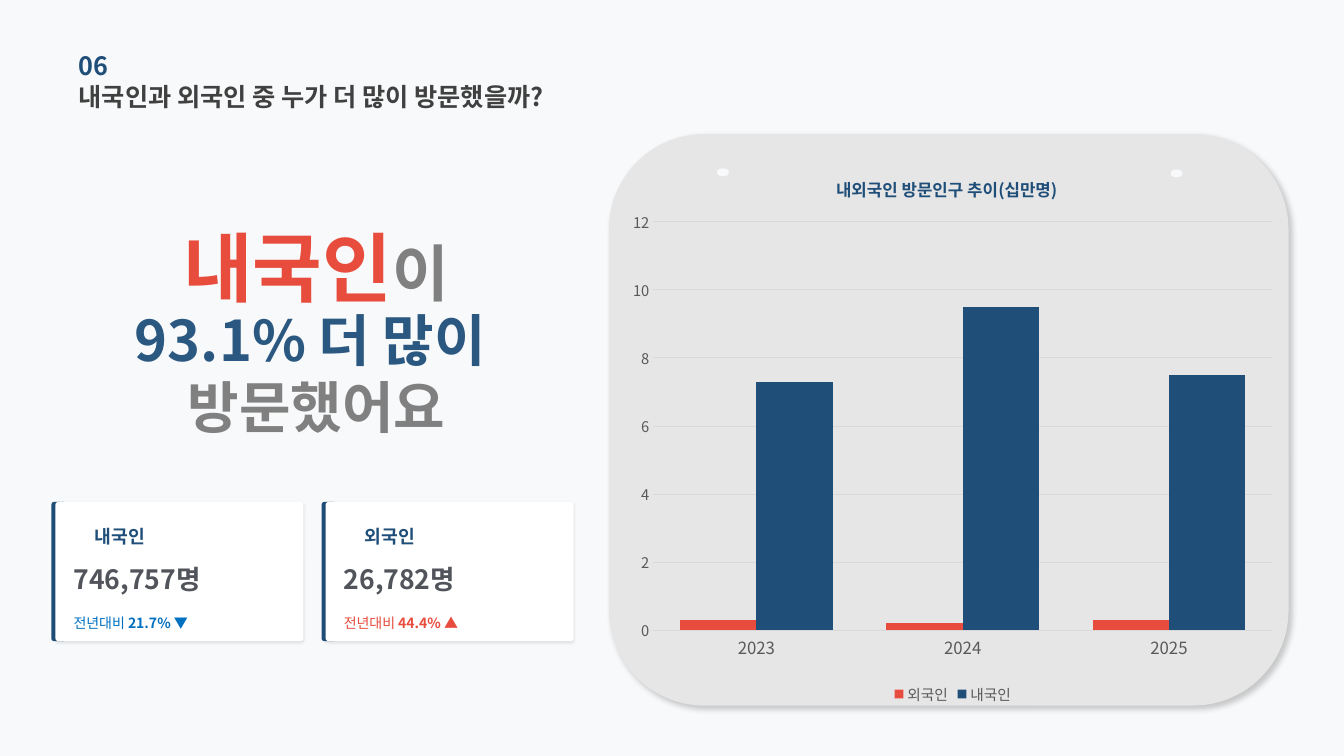
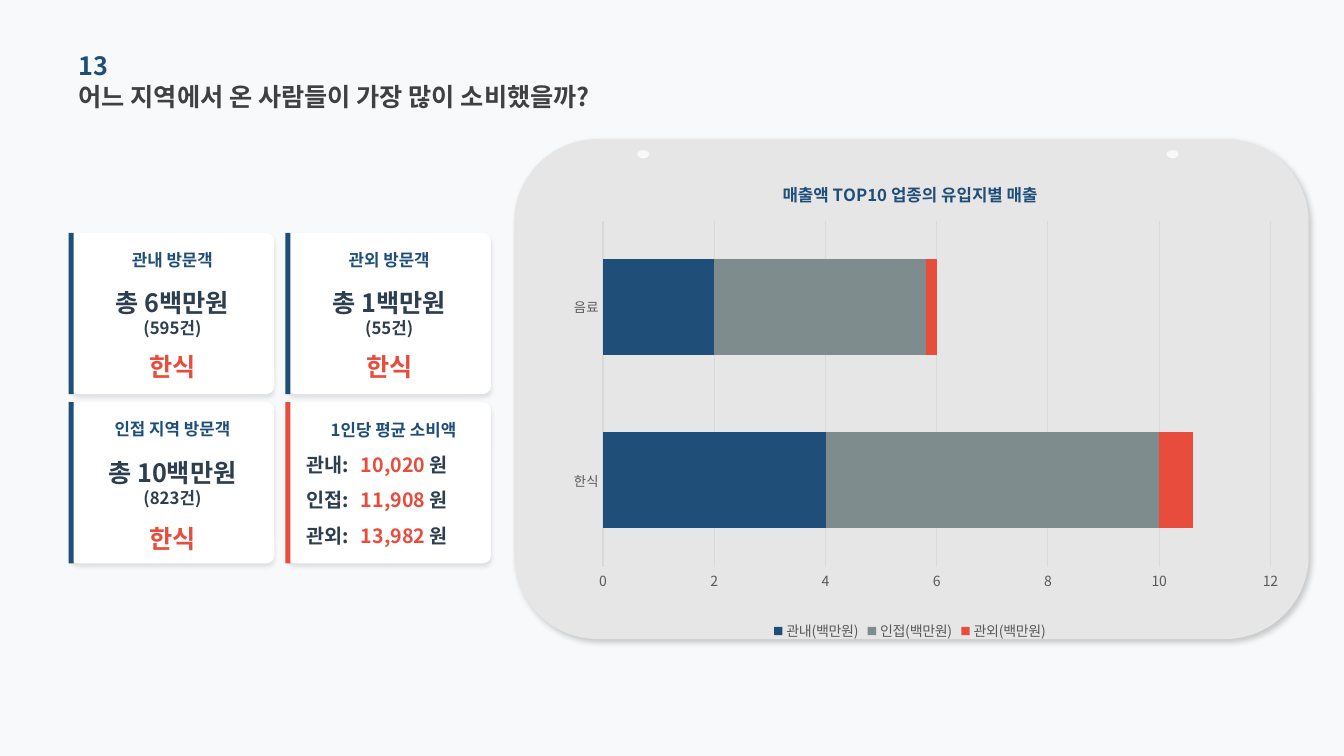
from lxml import etree
from pptx import Presentation
from pptx.chart.data import CategoryChartData
from pptx.dml.color import RGBColor
from pptx.enum import chart as charts, shapes, text
from pptx.oxml import parse_xml
from pptx.oxml.ns import nsdecls, qn
from pptx.util import Inches, Pt

FONT = "Noto Sans CJK KR"
PAPER = RGBColor(0xF8, 0xF9, 0xFA)
PANEL = RGBColor(0xE7, 0xE6, 0xE6)
WHITE = RGBColor(0xFF, 0xFF, 0xFF)
NAVY = RGBColor(0x1F, 0x4E, 0x79)
STEEL = RGBColor(0x2B, 0x58, 0x80)
RED = RGBColor(0xE7, 0x4C, 0x3C)
BLUE = RGBColor(0x00, 0x70, 0xC0)
INK = RGBColor(0x2C, 0x3E, 0x50)
HEADING = RGBColor(0x40, 0x40, 0x40)
SLATE = RGBColor(0x51, 0x54, 0x5A)
GRAY = RGBColor(0x80, 0x80, 0x80)
TEAL_GRAY = RGBColor(0x7F, 0x8C, 0x8D)
AXIS_TEXT = RGBColor(0x59, 0x59, 0x59)
GRID = RGBColor(0xD9, 0xD9, 0xD9)

LEFT, CENTER = text.PP_ALIGN.LEFT, text.PP_ALIGN.CENTER
ROUND = shapes.MSO_SHAPE.ROUNDED_RECTANGLE
RECT = shapes.MSO_SHAPE.RECTANGLE
OVAL = shapes.MSO_SHAPE.OVAL

# Shadows: opacity %, blur pt, distance pt, direction in degrees
PANEL_SHADOW = (20, 4, 3, 45)
COUNT_SHADOW = (10, 2, 1, 90)
SPEND_SHADOW = (10, 3, 2, 90)

VISITORS = {
    "number": "06",
    "title": "내국인과 외국인 중 누가 더 많이 방문했을까?",
    "panel": (6.04, 1.33, 6.74, 5.67),
    "dots": [(7.11, 1.67), (11.61, 1.68)],
    "chart": {
        "kind": charts.XL_CHART_TYPE.COLUMN_CLUSTERED,
        "area": (6.15, 1.48, 6.6, 5.55),
        "title": "내외국인 방문인구 추이(십만명)",
        "title_at": (0.32, 0.04),
        "plot": (0.05, 0.13, 0.93, 0.73),
        "categories": ["2023", "2024", "2025"],
        "series": [("외국인", [0.3, 0.2, 0.3], RED),
                   ("내국인", [7.3, 9.5, 7.5], NAVY)],
        "gap": 70, "overlap": 0,
        "sizes": {"category": 12, "value": 10.5, "legend": 10.5},
    },
}
# Group, head count, change on the year, colour of the change
COUNTS = [
    ("내국인", "746,757명", "21.7% ▼", BLUE),
    ("외국인", "26,782명", "44.4% ▲", RED),
]

SPENDING = {
    "number": "13",
    "title": "어느 지역에서 온 사람들이 가장 많이 소비했을까?",
    "panel": (5.1, 1.38, 7.88, 4.96),
    "dots": [(6.32, 1.49), (11.57, 1.49)],
    "chart": {
        "kind": charts.XL_CHART_TYPE.BAR_STACKED,
        "area": (5.22, 1.56, 7.61, 4.84),
        "title": "매출액 TOP10 업종의 유입지별 매출",
        "title_at": (0.33, 0.04),
        "plot": (0.1, 0.13, 0.87, 0.71),
        "categories": ["한식", "음료"],
        "series": [("관내(백만원)", [4, 2], NAVY),
                   ("인접(백만원)", [6, 3.8], TEAL_GRAY),
                   ("관외(백만원)", [0.6, 0.2], RED)],
        "gap": 80, "overlap": 100,
        "sizes": {"category": 9.5, "value": 10, "legend": 10},
    },
}
# Column, row, visitors, amount, cases, top business, its offset in the card
SPEND_CARDS = [
    (0, 0, "관내 방문객", "총 6백만원", "(595건)", "한식", 1.09),
    (1, 0, "관외 방문객", "총 1백만원", "(55건)", "한식", 1.09),
    (0, 1, "인접 지역 방문객", "총 10백만원", "(823건)", "한식", 1.12),
]
AVERAGES = [("관내:", "10,020 "), ("인접:", "11,908 "), ("관외:", "13,982 ")]


def inches(area):
    return [Inches(length) for length in area]


def style_font(font, size, color, bold=False):
    font.size, font.bold, font.name = Pt(size), bold, FONT
    font.color.rgb = color
    east_asian = etree.SubElement(font._rPr, qn("a:ea"))
    east_asian.set("typeface", FONT)


def write_text(box, *lines, align=LEFT):
    """Fill a box; a line is a list of (text, size, colour[, bold]) spans."""
    frame = box.text_frame
    frame.margin_left = frame.margin_right = 0
    frame.margin_top = frame.margin_bottom = 0
    frame.word_wrap = True
    frame.auto_size = text.MSO_AUTO_SIZE.NONE
    frame.vertical_anchor = text.MSO_ANCHOR.MIDDLE
    for index, line in enumerate(lines):
        para = frame.add_paragraph() if index else frame.paragraphs[0]
        para.alignment = align
        for words, size, color, *bold in line:
            span = para.add_run()
            span.text = words
            style_font(span.font, size, color, bold[0] if bold else True)


def add_text(page, area, *lines, align=LEFT):
    write_text(page.shapes.add_textbox(*inches(area)), *lines, align=align)


def add_block(page, kind, area, color, corner=None, shadow=None):
    block = page.shapes.add_shape(kind, *inches(area))
    block.shadow.inherit = False
    block.fill.solid()
    block.fill.fore_color.rgb = color
    block.line.fill.background()
    if corner is not None:
        block.adjustments[0] = corner
    if shadow:
        opacity, blur, distance, angle = shadow
        block._element.spPr.find(qn("a:effectLst")).append(parse_xml(
            f'<a:outerShdw {nsdecls("a")} blurRad="{Pt(blur)}" dist="{Pt(distance)}" '
            f'dir="{angle * 60000}" algn="tl" rotWithShape="0"><a:srgbClr val="000000">'
            f'<a:alpha val="{opacity * 1000}"/></a:srgbClr></a:outerShdw>'))


def manual_layout(inner=False, **fractions):
    target = '<c:layoutTarget val="inner"/>' if inner else ""
    modes = '<c:xMode val="edge"/><c:yMode val="edge"/>'
    values = "".join(f'<c:{name} val="{value}"/>' for name, value in fractions.items())
    return parse_xml(f'<c:layout {nsdecls("c")}><c:manualLayout>{target}{modes}{values}'
                     '</c:manualLayout></c:layout>')


def place_chart_parts(chart, title_at, plot):
    title = chart._chartSpace.chart.find(qn("c:title"))
    area = chart._chartSpace.chart.plotArea
    for parent in (title, area):
        for old in parent.findall(qn("c:layout")):
            parent.remove(old)
    title.find(qn("c:tx")).addnext(manual_layout(**dict(zip("xy", title_at))))
    area.insert(0, manual_layout(inner=True, **dict(zip("xywh", plot))))


def add_chart(page, design):
    data = CategoryChartData()
    data.categories = design["categories"]
    for name, values, _ in design["series"]:
        data.add_series(name, values)
    chart = page.shapes.add_chart(design["kind"], *inches(design["area"]), data).chart
    sizes = design["sizes"]

    chart.has_title = True
    span = chart.chart_title.text_frame.paragraphs[0].add_run()
    span.text = design["title"]
    style_font(span.font, 12, NAVY, bold=True)
    chart.chart_title.include_in_layout = False

    chart.has_legend = True
    chart.legend.position = charts.XL_LEGEND_POSITION.BOTTOM
    chart.legend.include_in_layout = False
    style_font(chart.legend.font, sizes["legend"], AXIS_TEXT)

    category, value = chart.category_axis, chart.value_axis
    for axis, size in ((category, sizes["category"]), (value, sizes["value"])):
        axis.major_tick_mark = axis.minor_tick_mark = charts.XL_TICK_MARK.NONE
        style_font(axis.tick_labels.font, size, AXIS_TEXT)
    value.minimum_scale, value.maximum_scale, value.major_unit = 0, 12, 2
    value.tick_labels.number_format = "General"
    value.tick_labels.number_format_is_linked = False
    value.format.line.fill.background()
    value.has_major_gridlines = True
    for line in (category.format.line, value.major_gridlines.format.line):
        line.color.rgb = GRID
        line.width = Pt(0.75)

    plot = chart.plots[0]
    plot.vary_by_categories = False
    plot.gap_width, plot.overlap = design["gap"], design["overlap"]
    for series, (_, _, color) in zip(plot.series, design["series"]):
        series.format.fill.solid()
        series.format.fill.fore_color.rgb = color
    place_chart_parts(chart, design["title_at"], design["plot"])


def add_page(deck, content):
    """Add a slide with its number, title, panel and chart."""
    page = deck.slides.add_slide(deck.slide_layouts[5])
    title = page.shapes.title
    title.left, title.top, title.width, title.height = inches((0.78, 0.75, 5.35, 0.41))
    write_text(title, [(content["title"], 18, HEADING)])
    add_text(page, (0.78, 0.44, 4.52, 0.41), [(content["number"], 18, NAVY)])
    add_block(page, ROUND, content["panel"], PANEL, shadow=PANEL_SHADOW)
    for left, top in content["dots"]:
        add_block(page, OVAL, (left, top, 0.12, 0.08), PAPER)
    add_chart(page, content["chart"])
    return page


def add_visitors(deck):
    page = add_page(deck, VISITORS)
    add_text(page, (0.99, 2.4, 4.29, 0.48),
             [("내국인", 54, RED), ("이", 44, GRAY)], align=CENTER)
    add_text(page, (0.38, 3.28, 5.52, 0.84), [("93.1% 더 많이 ", 40, STEEL)],
             [("방문했어요", 40, GRAY)], align=CENTER)
    top = 4.98
    for index, (group, count, change, color) in enumerate(COUNTS):
        left = 0.55 + 2.68 * index
        add_block(page, ROUND, (left - 0.04, top, 0.15, 1.38), NAVY)
        add_block(page, ROUND, (left, top, 2.46, 1.38), WHITE, 0.02, COUNT_SHADOW)
        add_text(page, (left + 0.39, top + 0.2, 0.65, 0.28), [(group, 13, NAVY)])
        add_text(page, (left + 0.18, top + 0.57, 2.2, 0.39), [(count, 19, SLATE)])
        add_text(page, (left + 0.18, top + 0.97, 2.2, 0.45),
                 [("전년대비 ", 10, color, False), (change, 10, color)])


def add_spend_card(page, column, row, accent):
    left, top = 0.7 + 2.15 * column, 2.31 + 1.68 * row
    add_block(page, ROUND, (left, top, 2.02, 1.6), WHITE, 0.05, SPEND_SHADOW)
    add_block(page, RECT, (left - 0.02, top, 0.05, 1.6), accent)
    return left, top


def add_spending(deck):
    page = add_page(deck, SPENDING)
    for column, row, visitors, amount, cases, business, offset in SPEND_CARDS:
        left, top = add_spend_card(page, column, row, NAVY)
        for shift, height, lines in (
                (0.11, 0.31, [[(visitors, 12, NAVY)]]),
                (0.56, 0.47, [[(amount, 18, INK)], [(cases, 12, INK)]]),
                (offset, 0.47, [[(business, 18, RED)]])):
            add_text(page, (left, top + shift, 2.02, height), *lines, align=CENTER)

    left, top = add_spend_card(page, 1, 1, RED)
    add_text(page, (left + 0.43, top + 0.15, 1.5, 0.25), [("1인당 평균 소비액", 12, NAVY)])
    for index, (region, amount) in enumerate(AVERAGES):
        line_top = top + 0.47 + 0.35 * index
        add_text(page, (left + 0.19, line_top, 0.59, 0.3), [(region, 14, INK)])
        add_text(page, (left + 0.73, line_top, 1.25, 0.3),
                 [(amount, 14, RED), ("원", 14, INK)])


def main():
    deck = Presentation()
    deck.slide_width, deck.slide_height = Inches(13.33), Inches(7.5)
    background = deck.slide_master.background.fill
    background.solid()
    background.fore_color.rgb = PAPER
    add_visitors(deck)
    add_spending(deck)
    deck.save("out.pptx")


if __name__ == "__main__":
    main()
